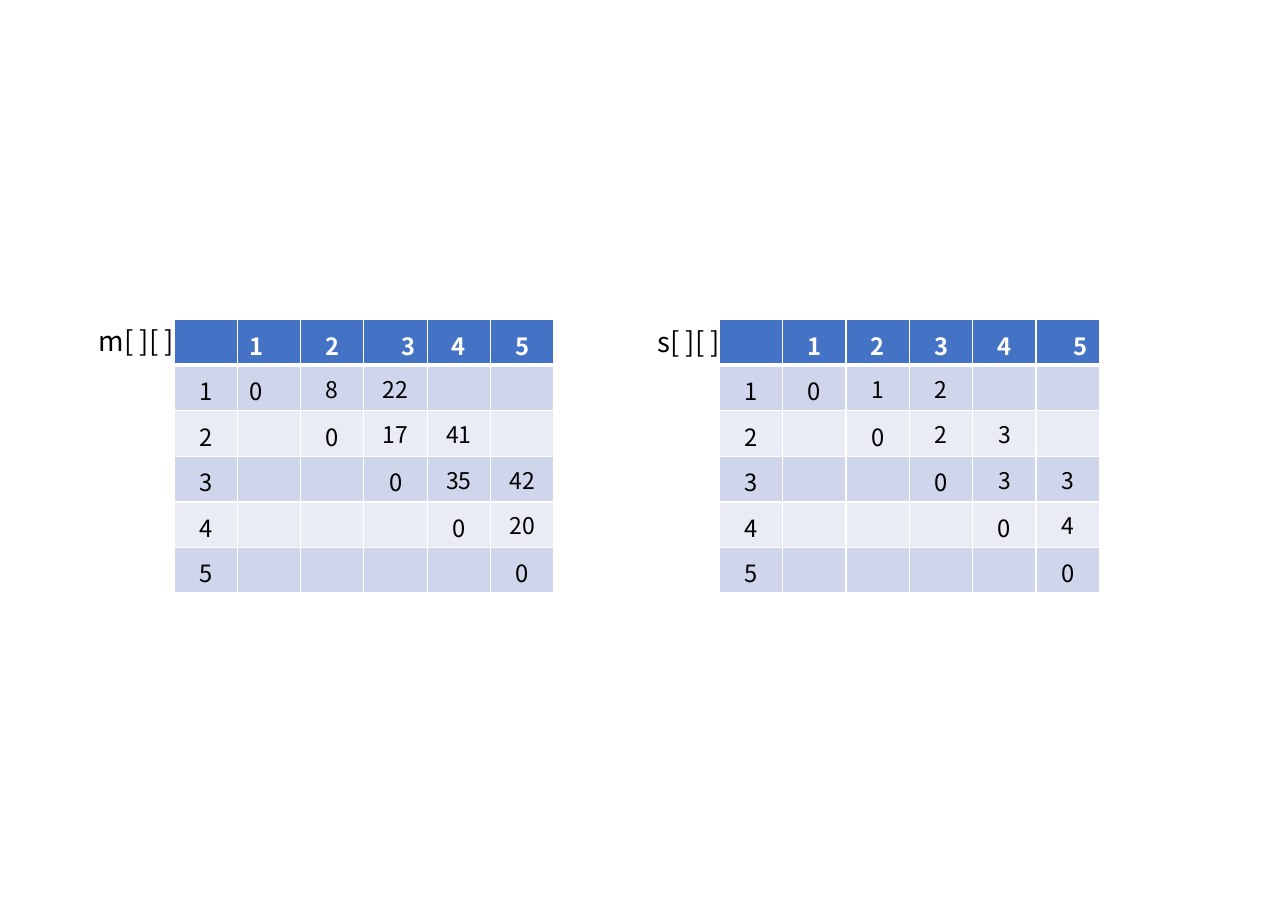
from lxml import etree
from pptx import Presentation
from pptx import util as u
from pptx.dml.color import RGBColor
from pptx.enum import text
from pptx.oxml import ns

COLORS = {"header": "4472C4", "odd": "CFD5EA", "even": "E9EBF5",
          "white": "FFFFFF", "black": "000000"}
FONT = "Noto Sans CJK SC"
INDENT = u.Cm(0.58)
ALIGN = text.PP_ALIGN

# Row i of each triangle starts in column i.
COSTS = [["0", "8", "22"], ["0", "17", "41"], ["0", "35", "42"], ["0", "20"], ["0"]]
SPLITS = [["0", "1", "2"], ["0", "2", "3"], ["0", "3", "3"], ["0", "4"], ["0"]]

# Cells that depart from plain centring, by (row, column).
RIGHT_INDENT = {"right": INDENT}
LEFT_INDENT = {"left": INDENT}
LEFT_ALIGNED = {"left": INDENT, "align": ALIGN.LEFT}
COST_FORMATS = {(0, 1): RIGHT_INDENT, (1, 1): RIGHT_INDENT,
                (0, 3): LEFT_INDENT, (3, 3): LEFT_ALIGNED}
SPLIT_FORMATS = {(0, 5): LEFT_INDENT, (5, 5): LEFT_ALIGNED}


def write(frame, content, size=15.5, color="black", bold=False,
          align=ALIGN.CENTER, left=0, right=0):
    paragraph = frame.paragraphs[0]
    paragraph.alignment = align
    properties = paragraph._p.get_or_add_pPr()
    for name, margin in (("marL", left), ("marR", right)):
        if margin:
            properties.set(name, str(margin))
    run = paragraph.add_run()
    run.text = content
    run.font.name = FONT
    run.font.size = u.Pt(size)
    run.font.bold = bold
    run.font.color.rgb = RGBColor.from_string(COLORS[color])


class MatrixSlide:
    def __init__(self, presentation):
        self.slide = presentation.slides.add_slide(presentation.slide_layouts[6])
        self.column_width = u.Cm(1.46)
        self.row_height = u.Cm(1.05)

    def label(self, content, left, top):
        box = self.slide.shapes.add_textbox(u.Cm(left), u.Cm(top), u.Cm(3.38), u.Cm(1.02))
        box.text_frame.word_wrap = True
        write(box.text_frame, content, size=18, align=ALIGN.LEFT)

    def border(self, cell, side, points):
        properties = cell._tc.get_or_add_tcPr()
        line = etree.SubElement(properties, ns.qn("a:ln" + side), w=str(u.Pt(points)))
        fill = etree.SubElement(line, ns.qn("a:solidFill"))
        etree.SubElement(fill, ns.qn("a:srgbClr"), val=COLORS["white"])

    def style_cell(self, cell, row):
        thickness = {"L": 1, "R": 1, "T": 3 if row == 1 else 1, "B": 3 if row == 0 else 1}
        for side, points in thickness.items():
            self.border(cell, side, points)
        band = "header" if row == 0 else "odd" if row % 2 else "even"
        cell.fill.solid()
        cell.fill.fore_color.rgb = RGBColor.from_string(COLORS[band])
        cell.vertical_anchor = text.MSO_ANCHOR.MIDDLE
        cell.margin_left = cell.margin_right = cell.margin_top = cell.margin_bottom = 0

    def matrix(self, triangle, left, top, formats):
        """Draw an upper triangular table with numbered rows and columns."""
        count = len(triangle) + 1
        table = self.slide.shapes.add_table(
            count, count, u.Cm(left), u.Cm(top),
            self.column_width * count, self.row_height * count).table
        for column in table.columns:
            column.width = self.column_width
        for row in table.rows:
            row.height = self.row_height

        numbers = {}
        for i, values in enumerate(triangle, 1):
            numbers[0, i] = numbers[i, 0] = str(i)
            for j, value in enumerate(values, i):
                numbers[i, j] = value

        for i in range(count):
            for j in range(count):
                cell = table.cell(i, j)
                self.style_cell(cell, i)
                if (i, j) not in numbers:
                    continue
                above_diagonal = 0 < i < j
                if not above_diagonal:
                    cell.margin_top = u.Cm(0.1)
                write(cell.text_frame, numbers[i, j],
                      size=15 if above_diagonal else 15.5,
                      color="white" if i == 0 else "black", bold=i == 0,
                      **formats.get((i, j), {}))


def main():
    presentation = Presentation()
    presentation.slide_width = u.Cm(29.7)
    presentation.slide_height = u.Cm(21)
    page = MatrixSlide(presentation)
    page.matrix(COSTS, 4.01, 7.37, COST_FORMATS)
    page.label("m[ ][ ]", 2.03, 7.34)
    page.matrix(SPLITS, 16.59, 7.37, SPLIT_FORMATS)
    page.label("s[ ][ ]", 14.91, 7.37)
    presentation.save("out.pptx")


if __name__ == "__main__":
    main()
